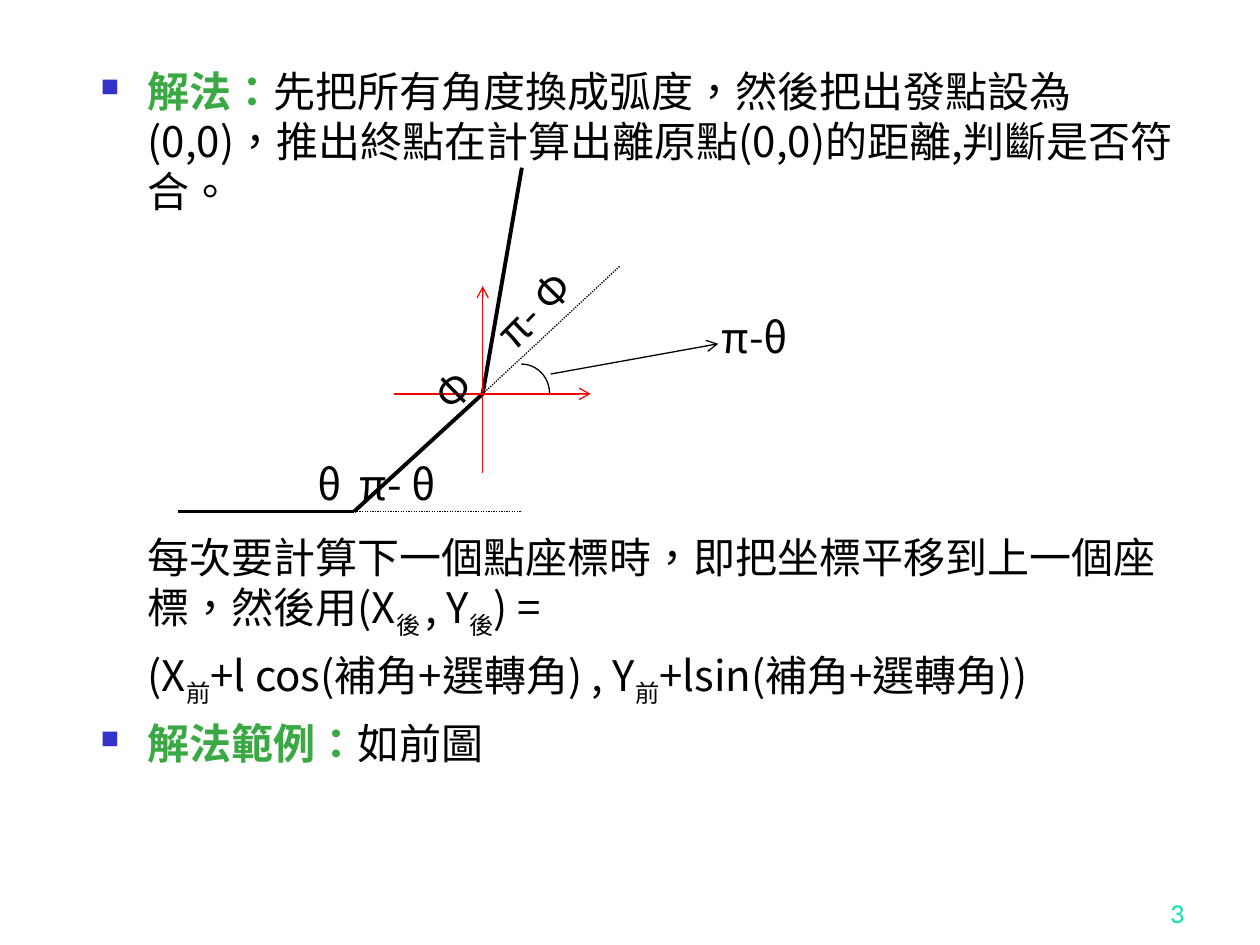
from dataclasses import dataclass
from typing import Optional

import pptx
import pptx.util
from lxml import etree
from pptx.dml.color import RGBColor
from pptx.enum.dml import MSO_LINE
from pptx.enum.lang import MSO_LANGUAGE_ID
from pptx.enum.shapes import MSO_CONNECTOR, MSO_SHAPE
from pptx.enum.text import MSO_ANCHOR, PP_ALIGN
from pptx.oxml.ns import qn
from pptx.util import Cm, Pt

BLACK = RGBColor(0x00, 0x00, 0x00)
RED = RGBColor(0xFF, 0x00, 0x00)
GREEN = RGBColor(0x3B, 0xA9, 0x43)
BLUE = RGBColor(0x33, 0x33, 0xCC)
MINT = RGBColor(0x00, 0xE4, 0xA8)
CJK = "Noto Sans CJK SC"

PLAIN = dict(size=Pt(24), name=CJK, bold=False, color=BLACK)
HEAD = dict(PLAIN, bold=True, color=GREEN)
HEAD_SERIF = dict(HEAD, name="Times New Roman")
NUMBER = dict(PLAIN, size=Pt(14), name="Lato", color=MINT)
SUB = dict(PLAIN, baseline="-25000")


@dataclass
class Para:
    runs: list
    before: float = 6
    bullet: bool = False


@dataclass
class Segment:
    start: tuple
    end: tuple
    width: float = 0.75
    color: RGBColor = BLACK
    dotted: bool = False
    arrow: bool = False


@dataclass
class Label:
    text: str
    left: float
    top: float
    width: float
    rotation: float = 0
    tab: Optional[float] = None


def add_run(p, text: str, style: dict) -> None:
    r = p.add_run()
    r.text = text
    r.font.language_id = MSO_LANGUAGE_ID.TRADITIONAL_CHINESE
    for key, value in style.items():
        if key == "color":
            r.font.color.rgb = value
        elif key == "baseline":
            r.font._element.set("baseline", value)
        else:
            setattr(r.font, key, value)
    ea = etree.SubElement(r.font._element, qn("a:ea"))
    ea.set("typeface", CJK)


def add_bullet(pPr) -> None:
    color = etree.SubElement(pPr, qn("a:buClr"))
    etree.SubElement(color, qn("a:srgbClr")).set("val", str(BLUE))
    etree.SubElement(pPr, qn("a:buSzPct")).set("val", "60000")
    etree.SubElement(pPr, qn("a:buChar")).set("char", "■")


def add_box(s, left: float, top: float, width: float, height: float):
    sp = s.shapes.add_textbox(Cm(left), Cm(top), Cm(width), Cm(height))
    sp.text_frame.word_wrap = True
    return sp


def add_body(s, paras: list) -> None:
    tf = add_box(s, 1.78, 1.19, 22.23, 16.66).text_frame
    for i, para in enumerate(paras):
        p = tf.paragraphs[0] if i == 0 else tf.add_paragraph()
        p.space_before = Pt(para.before)
        pPr = p._p.get_or_add_pPr()
        pPr.set("marL", str(Cm(0.95)))
        pPr.set("indent", str(-Cm(0.95) if para.bullet else 0))
        if para.bullet:
            add_bullet(pPr)
        for text, style in para.runs:
            add_run(p, text, style)


def add_segment(s, seg: Segment) -> None:
    ends = [Cm(v) for v in seg.start + seg.end]
    sp = s.shapes.add_connector(MSO_CONNECTOR.STRAIGHT, *ends)
    sp.line.width = Pt(seg.width)
    sp.line.color.rgb = seg.color
    if seg.dotted:
        sp.line.dash_style = MSO_LINE.ROUND_DOT
    if seg.arrow:
        ln = sp.line._get_or_add_ln()
        etree.SubElement(ln, qn("a:tailEnd")).set("type", "arrow")
    etree.SubElement(sp._element.spPr, qn("a:effectLst"))


def add_label(s, label: Label) -> None:
    sp = add_box(s, label.left, label.top, label.width, 1.27)
    sp.rotation = label.rotation
    p = sp.text_frame.paragraphs[0]
    if label.tab:
        tabs = etree.SubElement(p._p.get_or_add_pPr(), qn("a:tabLst"))
        tab = etree.SubElement(tabs, qn("a:tab"))
        tab.set("pos", str(Cm(label.tab)))
        tab.set("algn", "l")
    add_run(p, label.text, PLAIN)


# Body text; the third gap leaves room for the diagram
BODY = [
    Para([("解法：", HEAD),
          ("先把所有角度換成弧度，然後把出發點設為(0,0)，推出終點在計算出離原點"
           "(0,0)的距離,判斷是否符合。", PLAIN)], before=0, bullet=True),
    Para([("每次要計算下一個點座標時，即把坐標平移到上一個座標，然後用(X", PLAIN),
          ("後 ", SUB), (", Y", PLAIN), ("後", SUB), (") =", PLAIN)], before=180),
    Para([("(X", PLAIN), ("前", SUB), ("+l cos(補角+選轉角) , Y", PLAIN),
          ("前", SUB), ("+lsin(補角+選轉角))", PLAIN)]),
    Para([("解法範例：", HEAD_SERIF), ("如前圖", PLAIN)], bullet=True),
]

# Joints of the folded line
ANKLE, KNEE, TIP = (7.14, 10.31), (9.73, 7.94), (10.52, 3.38)
SEGMENTS = [
    Segment((3.58, 10.31), ANKLE, 1.5),
    Segment(KNEE, ANKLE, 2.25),
    Segment(TIP, KNEE, 2.25),
    Segment((7.95, 7.94), (11.91, 7.94), color=RED, arrow=True),
    Segment((9.73, 9.53), (9.73, 5.77), color=RED, arrow=True),
    Segment(ANKLE, (10.52, 10.31), dotted=True),
    Segment(KNEE, (12.5, 5.36), dotted=True),
    Segment((11.1, 7.54), (14.48, 6.93), arrow=True),
]
LABELS = [
    Label("π-θ", 14.3, 6.15, 2.97),
    Label("Φ", 8.53, 7.21, 1.19, 315.6),
    Label("π- Φ", 9.47, 5.18, 3.38, 314.5),
    Label("θ\tπ- θ", 6.15, 9.12, 7.34, tab=0.85),
]


def main() -> None:
    prs = pptx.Presentation()
    prs.slide_width, prs.slide_height = Cm(25.4), Cm(19.05)
    s = prs.slides.add_slide(prs.slide_layouts[6])
    add_body(s, BODY)

    # Slide number
    tf = add_box(s, 18.85, 17.58, 5.28, 1.27).text_frame
    tf.vertical_anchor = MSO_ANCHOR.BOTTOM
    tf.paragraphs[0].alignment = PP_ALIGN.RIGHT
    add_run(tf.paragraphs[0], "3", NUMBER)

    # Diagram
    for seg in SEGMENTS:
        add_segment(s, seg)
    arc = s.shapes.add_shape(MSO_SHAPE.ARC, Cm(9.94), Cm(7.34), Cm(1.14), Cm(1.18))
    arc.shadow.inherit = False
    arc.fill.background()
    arc.line.color.rgb = BLACK
    arc.line.width = Pt(0.75)
    for label in LABELS:
        add_label(s, label)

    prs.save("out.pptx")


if __name__ == "__main__":
    main()
